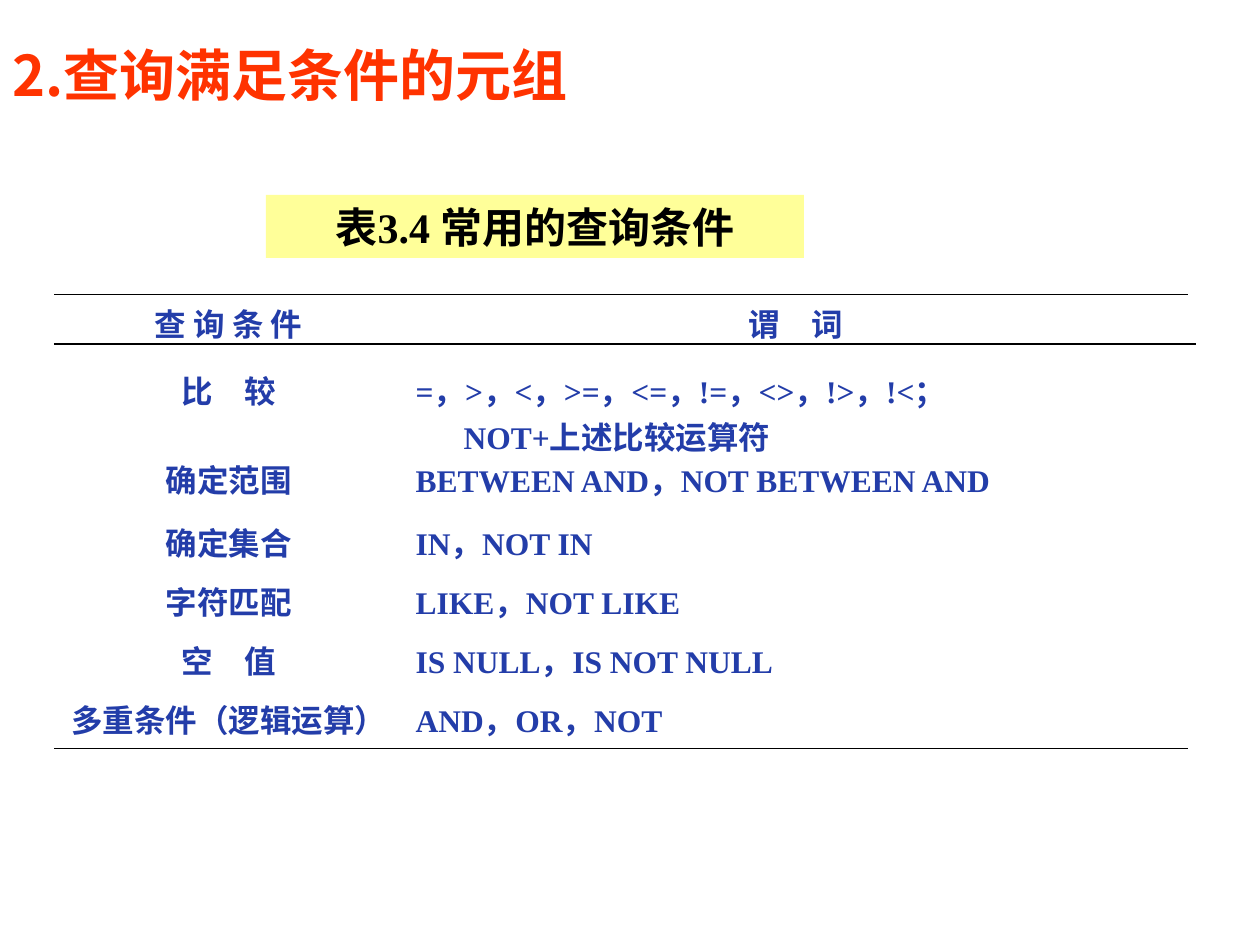
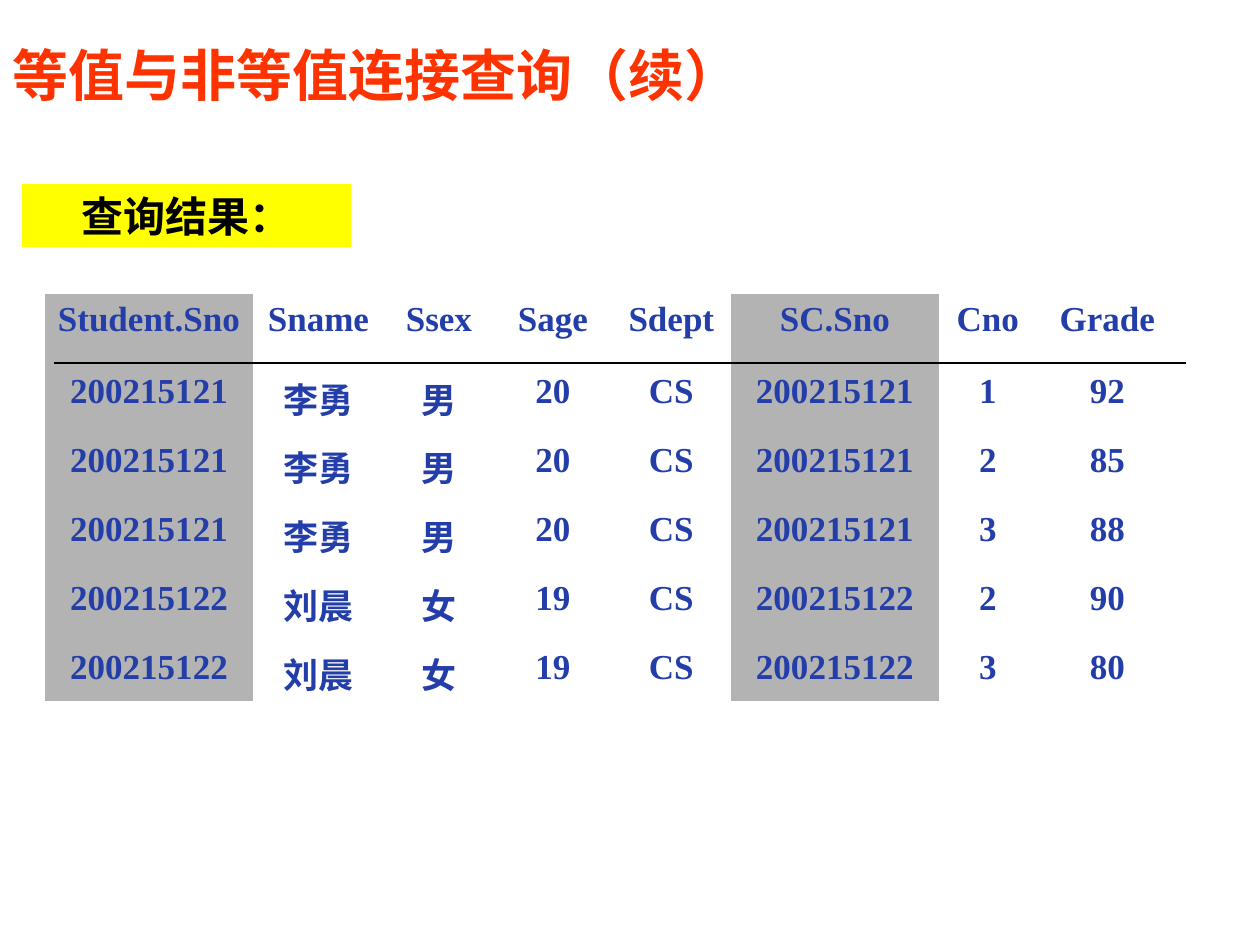
from dataclasses import dataclass

from lxml import etree
from pptx import Presentation
from pptx.dml.color import RGBColor
from pptx.enum.shapes import MSO_CONNECTOR, MSO_SHAPE
from pptx.enum.text import MSO_ANCHOR, PP_ALIGN
from pptx.oxml.ns import qn
from pptx.util import Emu, Pt

CENTER, LEFT = PP_ALIGN.CENTER, PP_ALIGN.LEFT
MIDDLE = MSO_ANCHOR.MIDDLE
RECT = MSO_SHAPE.RECTANGLE
STRAIGHT = MSO_CONNECTOR.STRAIGHT
PX_PER_INCH = 126
PLAIN_TABLE = "{2D5ABB26-0587-4C30-8999-92F81FD0307C}"


@dataclass(frozen=True)
class Theme:
    title: str = "FF3300"
    body: str = "233DA9"
    ink: str = "000000"
    key_column: str = "B3B3B3"
    pale_yellow: str = "FFFF99"
    yellow: str = "FFFF00"
    serif: str = "Times New Roman"
    sans: str = "Noto Sans CJK SC"
    title_size: int = 32
    caption_size: int = 24
    result_size: int = 20
    predicate_size: int = 18
    rule: float = 0.75
    border: float = 0.45


THEME = Theme()

PREDICATES = [
    ("查 询 条 件", "谓　词"),
    ("比　较", "=，>，<，>=，<=，!=，<>，!>，!<；\vNOT+上述比较运算符"),
    ("确定范围", "BETWEEN AND，NOT BETWEEN AND"),
    ("确定集合", "IN，NOT IN"),
    ("字符匹配", "LIKE，NOT LIKE"),
    ("空　值", "IS NULL，IS NOT NULL"),
    ("多重条件（逻辑运算）", "AND，OR，NOT"),
]

RESULT_HEADER = ("Student.Sno", "Sname", "Ssex", "Sage", "Sdept",
                 "SC.Sno", "Cno", "Grade")
STUDENTS = {
    "200215121": ("李勇", "男", "20", "CS"),
    "200215122": ("刘晨", "女", "19", "CS"),
}
GRADES = [
    ("200215121", "1", "92"),
    ("200215121", "2", "85"),
    ("200215121", "3", "88"),
    ("200215122", "2", "90"),
    ("200215122", "3", "80"),
]


def px(n):
    return Emu(round(n * 914400 / PX_PER_INCH))


def rgb(color):
    return RGBColor.from_string(color)


def set_text(tf, text, size, color, font=THEME.serif, align=LEFT, hanging=True):
    p = tf.paragraphs[0]
    p.text = text
    p.alignment = align
    if hanging:
        pPr = p._p.get_or_add_pPr()
        pPr.set("marL", str(px(48)))
        pPr.set("indent", str(-px(48)))
    f = p.font
    f.name, f.size, f.bold = font, Pt(size), True
    f.color.rgb = rgb(color)
    ea = etree.SubElement(f._element, qn("a:ea"))
    ea.set("typeface", THEME.sans)


def add_title(s, text):
    tf = s.shapes.add_textbox(px(0), px(35), px(1018), px(78)).text_frame
    tf.word_wrap = True
    tf.vertical_anchor = MIDDLE
    set_text(tf, text, THEME.title_size, THEME.title, THEME.sans, hanging=False)


def add_caption(s, text, x, y, w, fill):
    sp = s.shapes.add_shape(RECT, px(x), px(y), px(w), px(63))
    sp.shadow.inherit = False
    sp.fill.solid()
    sp.fill.fore_color.rgb = rgb(fill)
    sp.line.fill.background()
    sp.text_frame.word_wrap = False
    set_text(sp.text_frame, text, THEME.caption_size, THEME.ink, align=CENTER)


def add_rule(s, x1, x2, y):
    line = s.shapes.add_connector(STRAIGHT, px(x1), px(y), px(x2), px(y))
    line.line.color.rgb = rgb(THEME.ink)
    line.line.width = Pt(THEME.rule)
    etree.SubElement(line._element.spPr, qn("a:effectLst"))


def add_border(cell, side):
    ln = etree.Element(qn(f"a:{side}"), w=str(Pt(THEME.border)))
    fill = etree.SubElement(ln, qn("a:solidFill"))
    etree.SubElement(fill, qn("a:srgbClr"), val=THEME.ink)
    cell._tc.get_or_add_tcPr().insert(0, ln)


def add_grid(s, rows, x, y, widths, heights, size, left_cols=(), filled_cols=()):
    frame = s.shapes.add_table(len(rows), len(widths), px(x), px(y),
                               px(sum(widths)), px(sum(heights)))
    table = frame.table
    table.first_row = table.horz_banding = False
    table._tbl.tblPr.find(qn("a:tableStyleId")).text = PLAIN_TABLE
    for column, w in zip(table.columns, widths):
        column.width = px(w)
    for row, h in zip(table.rows, heights):
        row.height = px(h)
    for i, row in enumerate(rows):
        for j, text in enumerate(row):
            cell = table.cell(i, j)
            align = LEFT if i and j in left_cols else CENTER
            set_text(cell.text_frame, text, size, THEME.body, align=align)
            if j in filled_cols:
                cell.fill.solid()
                cell.fill.fore_color.rgb = rgb(THEME.key_column)
            else:
                cell.fill.background()
    return table


def add_predicates_slide(prs):
    s = prs.slides.add_slide(prs.slide_layouts[6])
    add_title(s, "2.查询满足条件的元组")
    table = add_grid(s, PREDICATES, 54, 294, [349, 785],
                     [67, 88, 63] + [59] * 4, THEME.predicate_size, left_cols=(1,))
    for j in range(2):
        add_border(table.cell(0, j), "lnT")
        add_border(table.cell(len(PREDICATES) - 1, j), "lnB")
    add_rule(s, 54, 1196, 344)
    add_caption(s, "表3.4 常用的查询条件", 266, 195, 538, THEME.pale_yellow)


def add_join_slide(prs):
    s = prs.slides.add_slide(prs.slide_layouts[6])
    add_title(s, "等值与非等值连接查询（续）")
    joined = [(sno, *STUDENTS[sno], sno, cno, grade) for sno, cno, grade in GRADES]
    add_grid(s, [RESULT_HEADER] + joined, 45, 294,
             [208, 131, 110, 118, 119, 208, 98, 141], [72] + [69] * 4 + [59],
             THEME.result_size, filled_cols=(0, 5))
    add_caption(s, "查询结果：", 22, 184, 329, THEME.yellow)
    add_rule(s, 54, 1186, 363)


def main():
    prs = Presentation()
    prs.slide_width, prs.slide_height = px(1260), px(945)
    add_predicates_slide(prs)
    add_join_slide(prs)
    prs.save("out.pptx")


if __name__ == "__main__":
    main()
